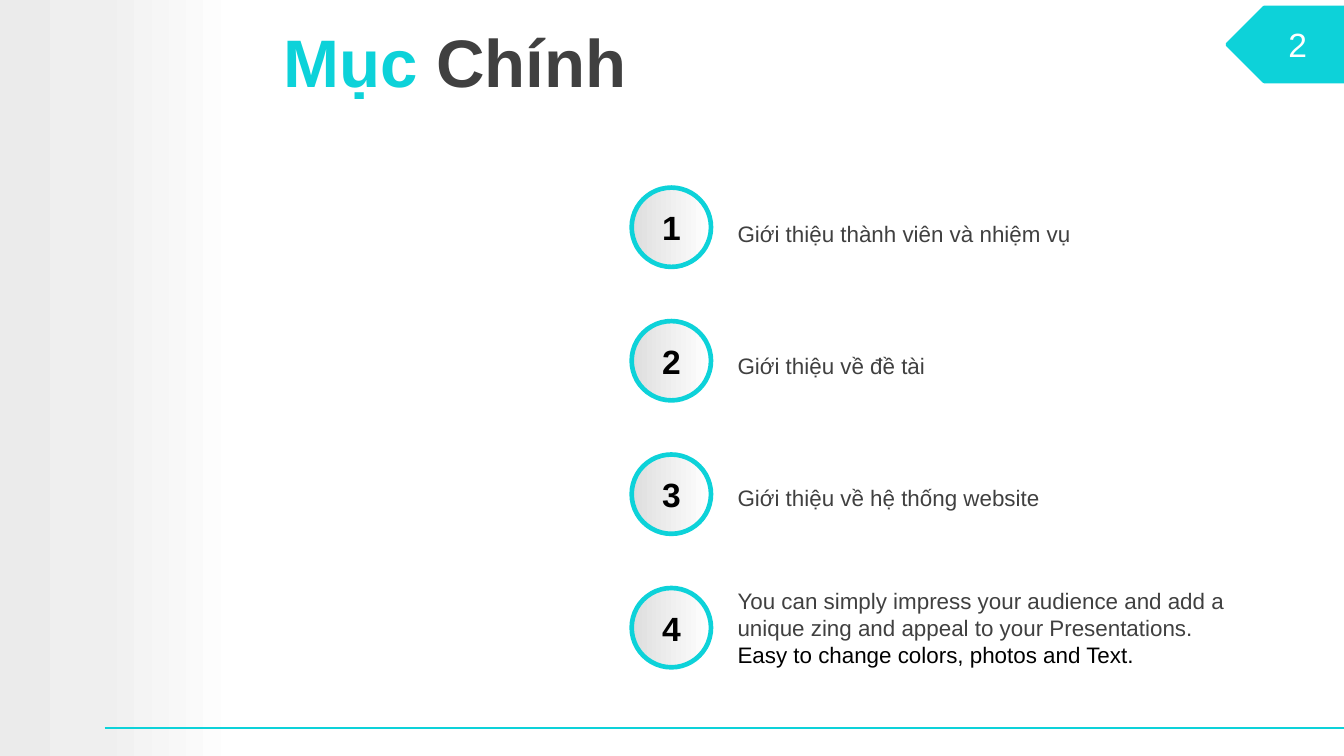
from lxml.etree import SubElement
from pptx import Presentation
from pptx.dml.color import RGBColor
from pptx.enum.shapes import MSO_CONNECTOR, MSO_SHAPE
from pptx.enum.text import MSO_ANCHOR as Anchor, PP_ALIGN as Align
from pptx.oxml.ns import qn
from pptx.util import Pt

# Content: each text is a list of (words, colour name)
TITLE = [("Mục ", "accent"), ("Chính", "body")]
PAGE = [("2", "white")]
TOPICS = [
    [("Giới thiệu thành viên và nhiệm vụ", "body")],
    [("Giới thiệu về đề tài", "body")],
    [("Giới thiệu về hệ thống website", "body")],
    [("You can simply impress your audience and add a unique zing "
      "and appeal to your Presentations. ", "body"),
     ("Easy to change colors, photos and Text.", "black")],
]

THEME = {
    "font": "Arial",
    "accent": "0DD2D9", "body": "404040", "black": "000000", "white": "FFFFFF",
    "band": [(0, "EBEBEB"), (42, "EFEFEF"), (100, "FFFFFF")],
    "disc": [(0, "DEDEDE"), (100, "FFFFFF")],
    "title_size": 36, "number_size": 18, "topic_size": 12,
}

# Layout in points
WIDTH, HEIGHT = 720, 405
DISC_LEFT, DISC_TOP, DISC_SIZE, DISC_PITCH = 338.4, 100.5, 42.5, 71.5
NUMBER_WIDTH, NUMBER_HEIGHT = 28, 29
TOPIC_LEFT, TOPIC_TOP, TOPIC_WIDTH, TOPIC_PITCH = 388, 114.5, 276, 70.6
TOPIC_HEIGHT, LONG_TOPIC_TOP, LONG_TOPIC_HEIGHT = 21.8, 311, 51


def colour(name):
    return RGBColor.from_string(THEME[name])


def box(left, top, width, height):
    return Pt(left), Pt(top), Pt(width), Pt(height)


def write(shape, parts, size, bold=False, align=Align.LEFT, anchor=Anchor.MIDDLE):
    frame = shape.text_frame
    frame.word_wrap = True
    frame.vertical_anchor = anchor
    line = frame.paragraphs[0]
    line.alignment = align
    for words, name in parts:
        run = line.add_run()
        run.text = words
        run.font.name = THEME["font"]
        run.font.size = Pt(THEME[size])
        run.font.bold = bold
        run.font.color.rgb = colour(name)


def shade(shape, stops):
    """Fill a shape with a left-to-right gradient."""
    shape.fill.gradient()
    shape.fill.gradient_angle = 0
    stop_list = shape._element.spPr.find(qn("a:gradFill")).find(qn("a:gsLst"))
    stop_list.clear()
    for percent, rgb in stops:
        stop = SubElement(stop_list, qn("a:gs"), pos=str(percent * 1000))
        SubElement(stop, qn("a:srgbClr"), val=rgb)


def outline(shape, width):
    shape.line.color.rgb = colour("accent")
    shape.line.width = Pt(width)


deck = Presentation()
deck.slide_width, deck.slide_height = Pt(WIDTH), Pt(HEIGHT)
slide = deck.slides.add_slide(deck.slide_layouts[6])
shapes = slide.shapes

# Shaded band on the left and rule along the bottom
band = shapes.add_shape(MSO_SHAPE.RECTANGLE, *box(0, 0, 127.5, HEIGHT))
band.shadow.inherit = False
shade(band, THEME["band"])
band.line.fill.background()

rule = shapes.add_connector(MSO_CONNECTOR.STRAIGHT, Pt(56), Pt(390), Pt(WIDTH), Pt(390))
outline(rule, 1)
SubElement(rule._element.spPr, qn("a:effectLst"))

# Title
title = shapes.add_textbox(*box(124.6, 2, 595.4, 61.2))
write(title, TITLE, "title_size", bold=True)
title.text_frame.margin_left = Pt(27.2)

# Numbered discs
inset_x = (DISC_SIZE - NUMBER_WIDTH) / 2
inset_y = (DISC_SIZE - NUMBER_HEIGHT) / 2
for row in range(len(TOPICS)):
    top = DISC_TOP + row * DISC_PITCH
    badge = shapes.add_group_shape().shapes
    disc = badge.add_shape(MSO_SHAPE.OVAL, *box(DISC_LEFT, top, DISC_SIZE, DISC_SIZE))
    disc.shadow.inherit = False
    shade(disc, THEME["disc"])
    outline(disc, 2.5)
    number = badge.add_textbox(
        *box(DISC_LEFT + inset_x, top + inset_y, NUMBER_WIDTH, NUMBER_HEIGHT))
    write(number, [(str(row + 1), "black")], "number_size", bold=True, align=Align.CENTER)

# Topics; the last one runs over several lines
for row, parts in enumerate(TOPICS):
    top, height = TOPIC_TOP + row * TOPIC_PITCH, TOPIC_HEIGHT
    if row == len(TOPICS) - 1:
        top, height = LONG_TOPIC_TOP, LONG_TOPIC_HEIGHT
    topic = shapes.add_textbox(*box(TOPIC_LEFT, top, TOPIC_WIDTH, height))
    write(topic, parts, "topic_size", anchor=Anchor.TOP)

# Page number tag pointing left
tag = shapes.add_shape(MSO_SHAPE.PENTAGON, *box(657.5, 4, 65.5, 39.6))
tag.shadow.inherit = False
tag.fill.solid()
tag.fill.fore_color.rgb = colour("accent")
outline(tag, 2)
tag._element.spPr.find(qn("a:xfrm")).set("flipH", "1")
write(tag, PAGE, "number_size", align=Align.CENTER)

deck.save("out.pptx")
